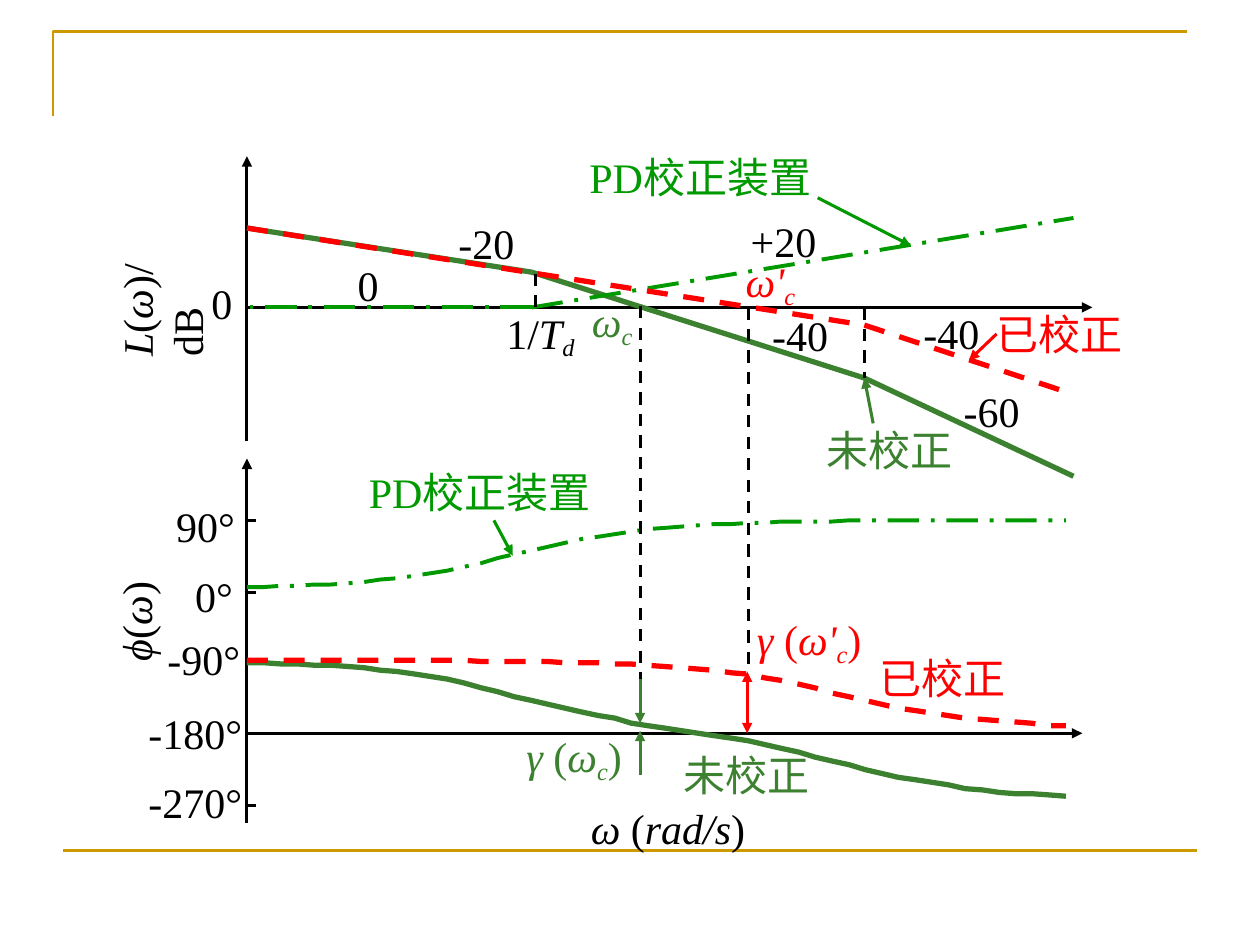
"""Build a slide of Bode diagrams for PD correction, measured at 100 px per inch."""
from lxml import etree
from pptx import Presentation
from pptx import util as u
from pptx.dml.color import RGBColor
from pptx.enum import dml, shapes, text
from pptx.oxml.ns import qn

PX = 9144
FONT = "Times New Roman"
BLACK = RGBColor(0, 0, 0)
GOLD = RGBColor(0xCC, 0x99, 0x00)
GREEN = RGBColor(0x00, 0x99, 0x00)
MOSS = RGBColor(0x3B, 0x81, 0x2F)
RED = RGBColor(0xFF, 0, 0)
DASH = dml.MSO_LINE.DASH
DASH_DOT = dml.MSO_LINE.LONG_DASH_DOT
AXIS_X, CURVE_RIGHT = 196, 846

AXES = [(AXIS_X, 244, 867, 244), (AXIS_X, 350, AXIS_X, 124),
        (AXIS_X, 653, AXIS_X, 364), (AXIS_X, 582, 859, 582)]
TICKS = [413, 470, 639]
GUIDES = [(508, 243, 508, 553), (686, 244, 686, 300),
          (425, 244, 425, 216), (594, 244, 594, 533)]
POINTERS = [
    (MOSS, (508, 539, 508, 574)), (MOSS, (508, 615, 508, 580)),
    (GREEN, (392, 413, 407, 441)), (GREEN, (649, 157, 723, 195)),
    (RED, (791, 265, 769, 286)), (MOSS, (693, 336, 686, 300)),
]
GAIN_LINES = [
    (MOSS, 3, None, [(196, 181, 422, 216), (422, 216, 686, 300), (686, 300, 852, 378)]),
    (GREEN, 2.25, DASH_DOT, [(422, 244, 852, 173), (422, 244, 196, 244)]),
    (RED, 3, DASH, [(196, 181, 686, 258), (686, 258, 852, 313)]),
]
PHASE_CURVES = [
    (MOSS, 3, None, [
        526, 526, 527, 527, 528, 528, 529, 530, 532, 533, 535, 537, 539, 542, 546, 549, 553,
        556, 559, 562, 565, 568, 570, 574, 576, 578, 580, 582, 584, 586, 588, 591, 594, 597,
        601, 604, 607, 611, 614, 617, 619, 621, 623, 626, 627, 629, 630, 630, 631, 632]),
    (GREEN, 2.25, DASH_DOT, [
        466, 466, 465, 465, 464, 464, 463, 462, 460, 459, 457, 455, 453, 450, 447, 443, 440,
        437, 434, 431, 428, 426, 424, 422, 420, 419, 418, 417, 416, 416, 415, 415, 414, 414,
        414, 414] + [413] * 14),
    (RED, 3, DASH, [524] * 14 + [
        525, 525, 525, 525, 525, 526, 526, 526, 527, 527, 528, 529, 530, 531, 532, 534, 535,
        538, 540, 543, 546, 550, 553, 556, 559, 562, 564, 566, 568, 570, 571, 572, 573, 574,
        576, 576]),
]

PLAIN_LABELS = [
    (158, 215, 37, BLACK, "0"), (274, 201, 37, BLACK, "0"),
    (130, 392, 87, BLACK, "90°"), (145, 448, 70, BLACK, "0°"),
    (123, 498, 98, BLACK, "-90°"), (108, 557, 115, BLACK, "-180°"),
    (108, 611, 115, BLACK, "-270°"),
    (354, 168, 65, BLACK, "-20"), (586, 166, 72, BLACK, "+20"),
    (603, 241, 65, BLACK, "-40"), (723, 239, 65, BLACK, "-40"),
    (755, 301, 65, BLACK, "-60"),
    (781, 240, 120, RED, "已校正"), (688, 513, 120, RED, "已校正"),
    (646, 332, 120, MOSS, "未校正"), (533, 590, 120, MOSS, "未校正"),
]
FORMULAS = [
    (460, 230, 53, MOSS, [("ω", "i"), ("c", "is")]),
    (582, 198, 60, RED, [("ω'", "i"), ("c", "is")]),
    (392, 239, 76, BLACK, [("1/", ""), ("T", "i"), ("d", "is")]),
    (408, 575, 97, MOSS, [("γ ", "i"), ("(", ""), ("ω", "i"), ("c", "is"), (")", "")]),
    (591, 482, 104, RED, [("γ ", "i"), ("(", ""), ("ω'", "i"), ("c", "is"), (")", "")]),
]
WRAPPED_LABELS = [
    (458, 115, 196, GREEN, [("PD校正装置", "")]),
    (283, 365, 196, GREEN, [("PD校正装置", "")]),
    (459, 632, 151, BLACK, [("ω ", "i"), ("(", ""), ("rad/s", "i"), (")", "")]),
]


def px(n):
    """Turn px into EMU."""
    return u.Emu(int(n * PX))


def style_line(sp, color, width, dash=None, ends=()):
    """Set colour, width, dash and arrowheads of an outline."""
    sp.line.color.rgb = color
    sp.line.width = u.Pt(width)
    if dash is not None:
        sp.line.dash_style = dash
    ln = sp.line._get_or_add_ln()
    for end in ends:
        etree.SubElement(ln, qn(f"a:{end}"), type="triangle")


def add_line(s, points, color, width=1.75, dash=None, ends=()):
    """Draw a straight connector."""
    sp = s.shapes.add_connector(shapes.MSO_CONNECTOR.STRAIGHT, *map(px, points))
    style_line(sp, color, width, dash, ends)
    etree.SubElement(sp._element.spPr, qn("a:effectLst"))


def add_path(s, points, color, width, dash=None):
    """Draw an open outline through the points."""
    builder = s.shapes.build_freeform(*points[0], scale=PX)
    builder.add_line_segments(points[1:], close=False)
    sp = builder.convert_to_shape()
    sp.fill.background()
    sp.shadow.inherit = False
    style_line(sp, color, width, dash)


def add_label(s, left, top, width, color, runs, wrap=False, rotation=0):
    """Write a label; style i is italic and s is subscript."""
    sp = s.shapes.add_textbox(px(left), px(top), px(width), px(50))
    sp.rotation = rotation
    tf = sp.text_frame
    tf.word_wrap = wrap
    tf.auto_size = text.MSO_AUTO_SIZE.NONE
    p = tf.paragraphs[0]
    for content, style in runs:
        r = p.add_run()
        r.text = content
        r.font.name = FONT
        r.font.size = u.Pt(24)
        r.font.color.rgb = color
        r.font.italic = "i" in style
        if "s" in style:
            r.font._element.set("baseline", "-18000")


def add_frame(s):
    """Draw the gold rules of the page."""
    add_path(s, [(42, 92), (42, 25), (942, 25)], GOLD, 1.5)
    add_line(s, (50, 675, 950, 675), GOLD, 1.5)


def add_plots(s):
    """Draw axes, guides, gain lines, phase curves and pointers."""
    for axis in AXES:
        add_line(s, axis, BLACK, ends=["tailEnd"])
    for y in TICKS:
        add_line(s, (AXIS_X, y, AXIS_X + 7, y), BLACK)
    for color, width, dash, curve in PHASE_CURVES:
        step = (CURVE_RIGHT - AXIS_X) / (len(curve) - 1)
        add_path(s, [(AXIS_X + i * step, y) for i, y in enumerate(curve)], color, width, dash)
    for color, width, dash, segments in GAIN_LINES:
        for segment in segments:
            add_line(s, segment, color, width, dash)
    for guide in GUIDES:
        add_line(s, guide, BLACK, dash=DASH)
    for color, pointer in POINTERS:
        add_line(s, pointer, color, ends=["tailEnd"])
    add_line(s, (593, 533, 593, 582), RED, ends=["headEnd", "tailEnd"])


def add_labels(s):
    """Write all labels of the two diagrams."""
    for left, top, width, color, content in PLAIN_LABELS:
        add_label(s, left, top, width, color, [(content, "")])
    for formula in FORMULAS:
        add_label(s, *formula)
    for label in WRAPPED_LABELS:
        add_label(s, *label, wrap=True)
    omega = [("(", ""), ("ω", "i")]
    add_label(s, 42, 202, 132, BLACK, [("L", "i"), *omega, (")/dB", "")], wrap=True, rotation=270)
    add_label(s, 65, 467, 85, BLACK, [("ϕ", "i"), *omega, (")", "")], rotation=270)


def main():
    """Build and save the slide."""
    prs = Presentation()
    prs.slide_width, prs.slide_height = px(1000), px(750)
    s = prs.slides.add_slide(prs.slide_layouts[6])
    add_frame(s)
    add_plots(s)
    add_labels(s)
    prs.save("out.pptx")


if __name__ == "__main__":
    main()
